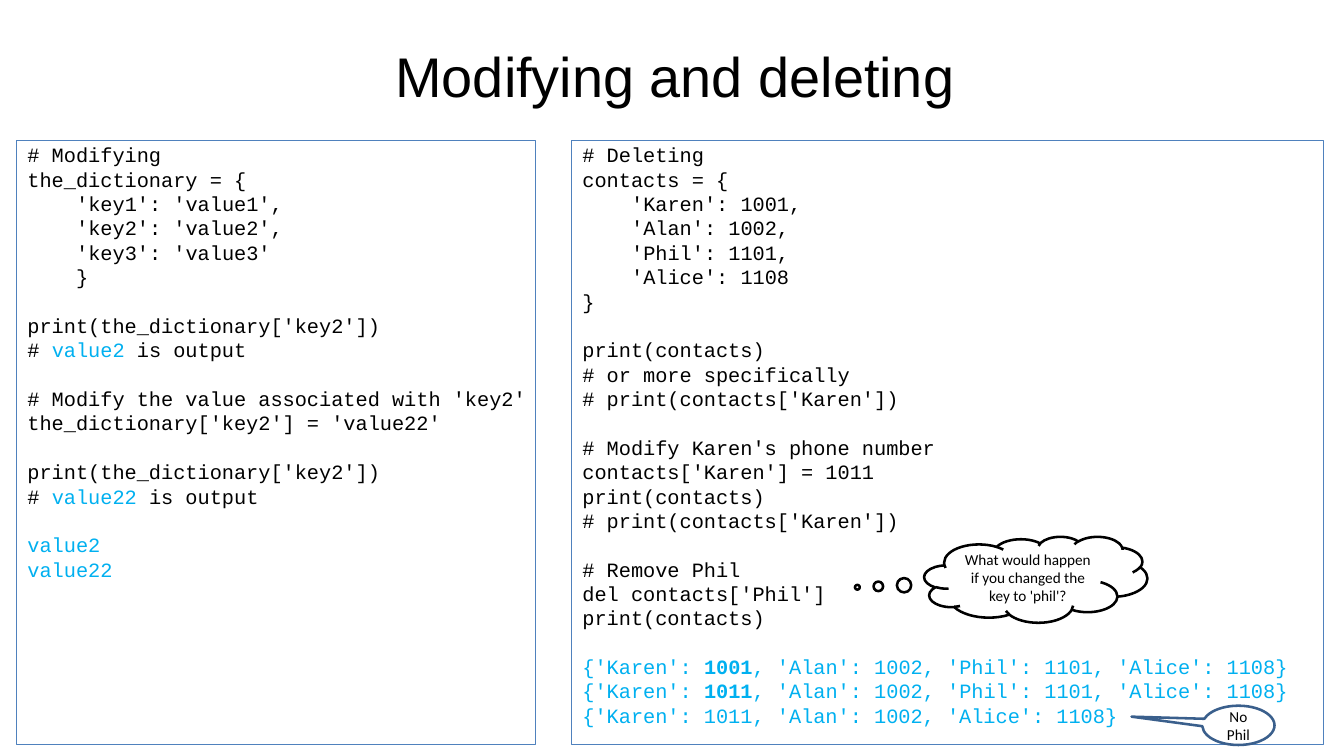
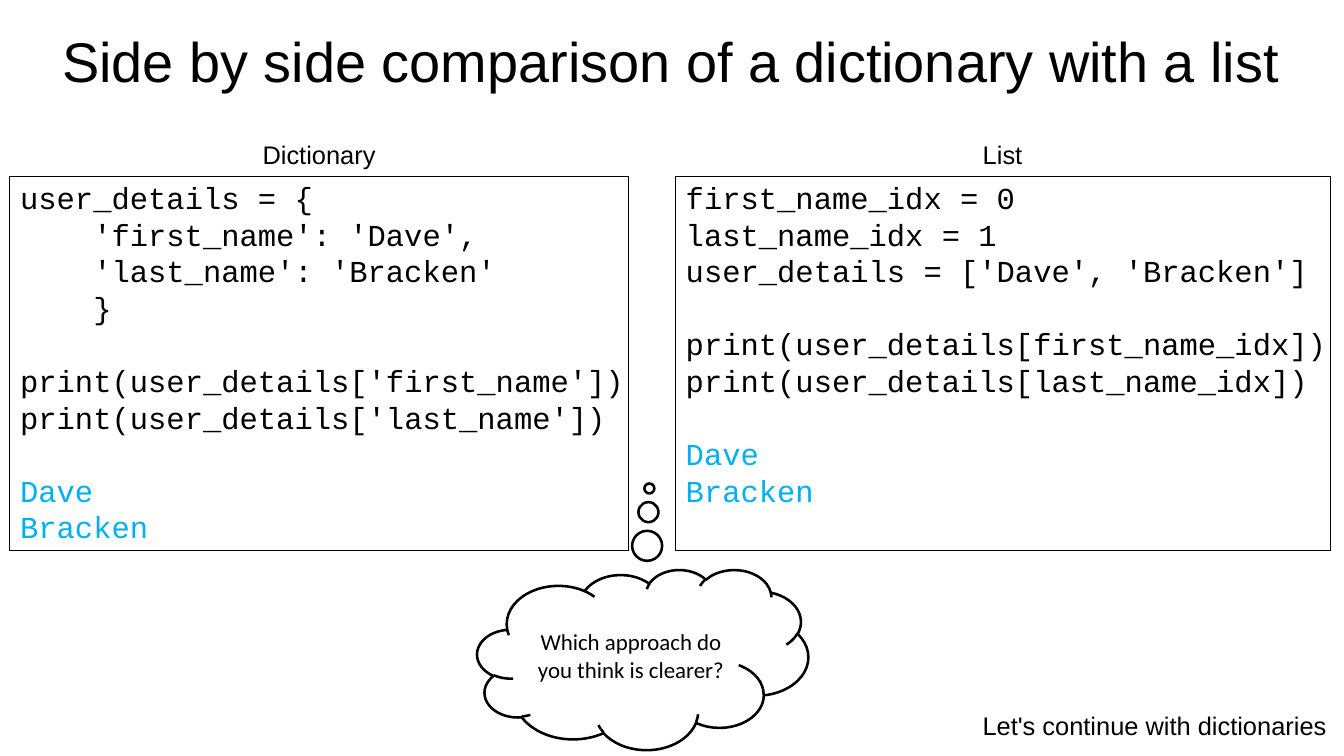
from pptx import Presentation
from pptx.dml.color import RGBColor
from pptx.enum.shapes import MSO_SHAPE
from pptx.enum.text import MSO_ANCHOR, MSO_AUTO_SIZE, PP_ALIGN
from pptx.oxml.ns import qn
from pptx.util import Inches, Pt

BLACK = RGBColor(0x00, 0x00, 0x00)
CYAN = RGBColor(0x00, 0xB0, 0xF0)
BLUE = RGBColor(0x4F, 0x81, 0xBD)
DARK_BLUE = RGBColor(0x3A, 0x5F, 0x8C)

CENTER = PP_ALIGN.CENTER
LEFT = PP_ALIGN.LEFT
TOP = MSO_ANCHOR.TOP
MIDDLE = MSO_ANCHOR.MIDDLE
NO_AUTOFIT = MSO_AUTO_SIZE.NONE
CLOUD = MSO_SHAPE.CLOUD_CALLOUT
ELLIPSE = MSO_SHAPE.OVAL_CALLOUT

TEXT_FONT = "Arial"
CALLOUT_FONT = "Calibri"
CODE_FONT = "Courier New"
TWO_CONTENT_LAYOUT = 3
LINE_HEIGHT = 1.2
CHARACTER_WIDTH = 0.6
CODE_MARGIN = Inches(0.12)

MODIFYING_CODE = """\
# Modifying
the_dictionary = {
    'key1': 'value1',
    'key2': 'value2',
    'key3': 'value3'
    }

print(the_dictionary['key2'])
# |value2| is output

# Modify the value associated with 'key2'
the_dictionary['key2'] = 'value22'

print(the_dictionary['key2'])
# |value22| is output"""

MODIFYING_OUTPUT = """\
value2
value22"""

DELETING_CODE = """\
# Deleting
contacts = {
    'Karen': 1001,
    'Alan': 1002,
    'Phil': 1101,
    'Alice': 1108
}

print(contacts)
# or more specifically
# print(contacts['Karen'])

# Modify Karen's phone number
contacts['Karen'] = 1011
print(contacts)
# print(contacts['Karen'])

# Remove Phil
del contacts['Phil']
print(contacts)"""

DELETING_OUTPUT = """\
{'Karen': |1001|, 'Alan': 1002, 'Phil': 1101, 'Alice': 1108}
{'Karen': |1011|, 'Alan': 1002, 'Phil': 1101, 'Alice': 1108}
{'Karen': 1011, 'Alan': 1002, 'Alice': 1108}"""

DICTIONARY_CODE = """\
user_details = {
    'first_name': 'Dave',
    'last_name': 'Bracken'
    }

print(user_details['first_name'])
print(user_details['last_name'])"""

LIST_CODE = """\
first_name_idx = 0
last_name_idx = 1
user_details = ['Dave', 'Bracken']

print(user_details[first_name_idx])
print(user_details[last_name_idx])"""

NAMES_OUTPUT = """\
Dave
Bracken"""


class Deck:
    def __init__(self, width, height):
        self.presentation = Presentation()
        self.presentation.slide_width = Inches(width)
        self.presentation.slide_height = Inches(height)
        self.slide = None

    def add_slide(self, title, box):
        layout = self.presentation.slide_layouts[TWO_CONTENT_LAYOUT]
        self.slide = self.presentation.slides.add_slide(layout)
        shape = self.slide.shapes.title
        self.place(shape, box)
        self.set_text(shape, title, TEXT_FONT, 44)

    def place(self, shape, box):
        shape.left, shape.top, shape.width, shape.height = map(Inches, box)

    def frame(self, shape, anchor):
        frame = shape.text_frame
        frame.word_wrap = True
        frame.auto_size = NO_AUTOFIT
        frame.vertical_anchor = anchor
        frame.margin_left = frame.margin_right = 0
        frame.margin_top = frame.margin_bottom = 0
        return frame

    def style(self, paragraph, name, size, color, alignment):
        paragraph.alignment = alignment
        paragraph.font.name = name
        paragraph.font.size = Pt(size)
        paragraph.font.color.rgb = color

    def set_text(self, shape, text, name, size):
        paragraph = self.frame(shape, MIDDLE).paragraphs[0]
        paragraph.text = text
        self.style(paragraph, name, size, BLACK, CENTER)

    def label(self, text, box):
        shape = self.slide.shapes.add_textbox(*map(Inches, box))
        self.set_text(shape, text, TEXT_FONT, 20)

    def code_panel(self, index, box, code, output, size, border):
        shape = self.slide.placeholders[index]
        self.place(shape, box)
        shape.line.color.rgb = border
        shape.line.width = Pt(0.25)
        frame = self.frame(shape, TOP)
        frame.margin_top = Inches(0.03)
        self.code_lines(frame, code, size, BLACK)
        self.code_lines(frame, output, size, CYAN)

    def code_lines(self, frame, text, size, color):
        for number, block in enumerate(text.split("\n\n")):
            for position, line in enumerate(block.splitlines()):
                first = color == BLACK and number == position == 0
                paragraph = frame.paragraphs[0] if first else frame.add_paragraph()
                self.code_line(paragraph, line, size, color)
                gap = position == 0 and not first
                paragraph.space_before = Pt(size * LINE_HEIGHT if gap else 0)

    def code_line(self, paragraph, line, size, color):
        self.style(paragraph, CODE_FONT, size, color, LEFT)
        paragraph.line_spacing = Pt(size * LINE_HEIGHT)
        code = line.lstrip()
        indent = Pt((len(line) - len(code)) * CHARACTER_WIDTH * size)
        properties = paragraph._p.get_or_add_pPr()
        properties.set("marL", str(CODE_MARGIN + indent))
        properties.set("indent", "0")
        bullet = properties.makeelement(qn("a:buNone"), {})
        properties.find(qn("a:defRPr")).addprevious(bullet)
        for position, piece in enumerate(code.split("|")):
            run = paragraph.add_run()
            run.text = piece
            if position % 2 and color == CYAN:
                run.font.bold = True
            elif position % 2:
                run.font.color.rgb = CYAN

    def callout(self, kind, text, box, tip, size, border):
        shape = self.slide.shapes.add_shape(kind, *map(Inches, box))
        shape.shadow.inherit = False
        shape.adjustments[0], shape.adjustments[1] = tip
        shape.fill.background()
        shape.line.color.rgb = border
        shape.line.width = Pt(2)
        self.set_text(shape, text, CALLOUT_FONT, size)
        frame = shape.text_frame
        frame.margin_left = frame.margin_right = Inches(0.1)
        frame.margin_top = frame.margin_bottom = Inches(0.05)


def add_modifying_slide(deck):
    deck.add_slide("Modifying and deleting", (0.77, 0.43, 13.23, 0.79))
    top, height = 1.53, 6.61
    deck.code_panel(1, (0.18, top, 5.67, height),
                    MODIFYING_CODE, MODIFYING_OUTPUT, 16, BLUE)
    deck.code_panel(2, (6.25, top, 8.22, height),
                    DELETING_CODE, DELETING_OUTPUT, 16, BLUE)
    deck.callout(ELLIPSE, "No Phil", (13.15, 7.72, 0.79, 0.43),
                 (-1.48, -0.22), 12, DARK_BLUE)
    deck.callout(CLOUD, "What would happen if you changed the key to 'phil'?",
                 (10.11, 5.87, 2.44, 0.94), (-0.8, 0.09), 12, BLACK)


def add_comparison_slide(deck):
    deck.add_slide("Side by side comparison of a dictionary with a list",
                   (0.1, 0.33, 14.49, 0.65))
    top, height = 1.93, 4.09
    deck.code_panel(1, (0.1, top, 6.77, height),
                    DICTIONARY_CODE, NAMES_OUTPUT, 24, BLACK)
    deck.code_panel(2, (7.38, top, 7.17, height),
                    LIST_CODE, NAMES_OUTPUT, 24, BLACK)
    deck.callout(CLOUD, "Which approach do you think is clearer?",
                 (5.22, 6.23, 3.62, 1.97), (0.02, -0.95), 18, BLACK)
    deck.label("Dictionary", (1.72, 1.46, 3.54, 0.46))
    deck.label("List", (8.74, 1.46, 4.45, 0.46))
    deck.label("Let's continue with dictionaries", (10.71, 7.71, 3.84, 0.46))


def main():
    deck = Deck(14.7, 8.27)
    add_modifying_slide(deck)
    add_comparison_slide(deck)
    deck.presentation.save("out.pptx")


if __name__ == "__main__":
    main()
